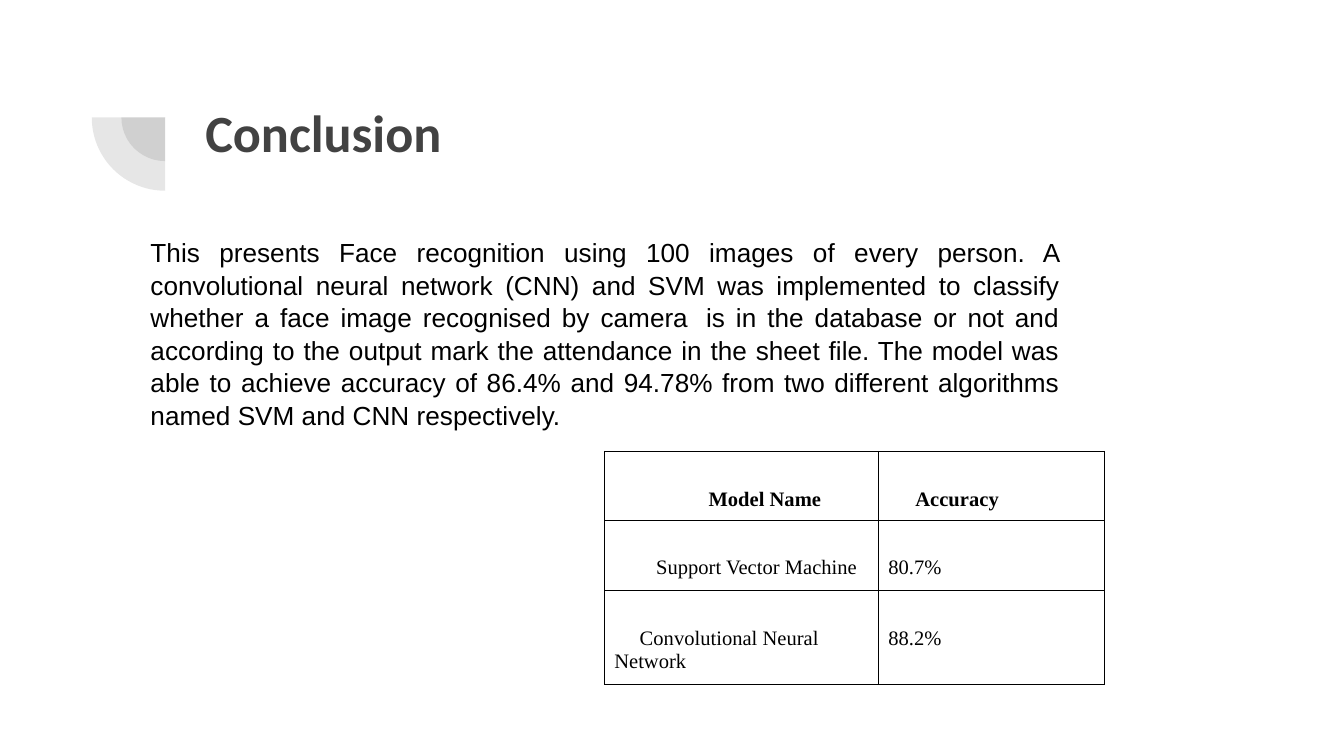
from dataclasses import dataclass

from lxml.etree import SubElement
from pptx import Presentation
from pptx.dml.color import RGBColor
from pptx.enum.shapes import MSO_SHAPE
from pptx.enum.text import MSO_ANCHOR, MSO_AUTO_SIZE, PP_ALIGN
from pptx.oxml.ns import qn
from pptx.slide import Slide
from pptx.table import _Cell as Cell
from pptx.util import Cm, Pt

GREY = RGBColor(0x42, 0x42, 0x42)
BLACK = RGBColor(0, 0, 0)

SUMMARY = (
    "This presents Face recognition using 100 images of every person. "
    "A convolutional neural network (CNN) and SVM was implemented to classify "
    "whether a face image recognised by camera\u00a0 is in the database or not and "
    "according to the output mark the attendance in the sheet file. The model was "
    "able to achieve accuracy of 86.4% and 94.78% from two different algorithms "
    "named SVM and CNN respectively."
)


@dataclass
class Entry:
    text: str
    indent: float = 0  # first line, cm
    bold: bool = False


@dataclass
class ResultRow:
    height: float
    model: Entry
    accuracy: Entry


RESULTS = [
    ResultRow(1.3, Entry("Model Name", 1.78, True), Entry("Accuracy", 0.51, True)),
    ResultRow(1.33, Entry("Support Vector Machine", 0.79), Entry("80.7%")),
    ResultRow(1.78, Entry("Convolutional Neural Network", 0.48), Entry("88.2%")),
]
COLUMN_WIDTHS = (5.18, 4.27)
PIE_CENTRE = (3.12, 2.22)
PIE_DIAMETERS = (1.65, 2.77)


def add_quarter_pie(slide: Slide, diameter: float) -> None:
    left, top = (centre - diameter / 2 for centre in PIE_CENTRE)
    pie = slide.shapes.add_shape(
        MSO_SHAPE.PIE, Cm(left), Cm(top), Cm(diameter), Cm(diameter))
    pie.rotation = 270
    pie.adjustments[0], pie.adjustments[1] = 108, 162
    pie.shadow.inherit = False
    pie.line.fill.background()
    pie.fill.solid()
    pie.fill.fore_color.rgb = GREY
    colour = pie.fill._xPr.find(".//" + qn("a:srgbClr"))
    SubElement(colour, qn("a:alpha"), val="13000")


def add_borders(cell: Cell) -> None:
    properties = cell._tc.get_or_add_tcPr()
    for side in ("a:lnL", "a:lnR", "a:lnT", "a:lnB"):
        line = SubElement(properties, qn(side), w=str(Pt(0.5)))
        fill = SubElement(line, qn("a:solidFill"))
        SubElement(fill, qn("a:srgbClr"), val=str(BLACK))


def fill_cell(cell: Cell, entry: Entry) -> None:
    add_borders(cell)
    cell.fill.background()
    cell.margin_left = cell.margin_right = Cm(0.18)
    cell.margin_top, cell.margin_bottom = Cm(0.69), Cm(0.13)
    cell.vertical_anchor = MSO_ANCHOR.TOP
    paragraph = cell.text_frame.paragraphs[0]
    paragraph.text = entry.text
    paragraph._p.get_or_add_pPr().set("indent", str(Cm(entry.indent)))
    font = paragraph.runs[0].font
    font.name, font.size, font.bold = "Times New Roman", Pt(11), entry.bold
    font.color.rgb = BLACK


def add_results(slide: Slide) -> None:
    table = slide.shapes.add_table(
        len(RESULTS), len(COLUMN_WIDTHS), Cm(11.43), Cm(8.53),
        Cm(sum(COLUMN_WIDTHS)), Cm(sum(row.height for row in RESULTS))).table
    table.first_row = table.horz_banding = False
    for column, width in zip(table.columns, COLUMN_WIDTHS):
        column.width = Cm(width)
    for table_row, result in zip(table.rows, RESULTS):
        table_row.height = Cm(result.height)
        for cell, entry in zip(table_row.cells, (result.model, result.accuracy)):
            fill_cell(cell, entry)


def write_title(slide: Slide) -> None:
    title = slide.shapes.title
    title.left, title.top, title.width, title.height = (
        Cm(3.63), Cm(1.65), Cm(19.53), Cm(2.77))
    frame = title.text_frame
    frame.text = "Conclusion"
    frame.auto_size = MSO_AUTO_SIZE.NONE
    frame.vertical_anchor = MSO_ANCHOR.TOP
    frame.margin_left = frame.margin_right = Cm(0.25)
    frame.margin_top = frame.margin_bottom = Cm(0.25)
    heading = frame.paragraphs[0]
    heading.alignment = PP_ALIGN.LEFT
    font = heading.runs[0].font
    font.name, font.size, font.bold = "Calibri", Pt(28), True
    font.color.rgb = GREY


def write_summary(slide: Slide) -> None:
    body = slide.placeholders[1]
    body.left, body.top, body.width, body.height = (
        Cm(2.59), Cm(4.32), Cm(17.7), Cm(3.84))
    frame = body.text_frame
    frame.text = SUMMARY
    frame.auto_size = MSO_AUTO_SIZE.SHAPE_TO_FIT_TEXT
    summary = frame.paragraphs[0]
    summary.alignment = PP_ALIGN.JUSTIFY
    summary.line_spacing = 1.04
    summary.space_before = Pt(0)
    properties = summary._p.get_or_add_pPr()
    properties.set("marL", "0")
    properties.set("indent", "0")
    SubElement(properties, qn("a:buNone"))
    font = summary.runs[0].font
    font.name, font.size = "Arial", Pt(14)
    font.color.rgb = BLACK


def main() -> None:
    deck = Presentation()
    deck.slide_width, deck.slide_height = Cm(25.4), Cm(14.29)
    slide = deck.slides.add_slide(deck.slide_layouts[1])

    # Corner ornament
    for diameter in PIE_DIAMETERS:
        add_quarter_pie(slide, diameter)

    # Text and results
    write_title(slide)
    write_summary(slide)
    add_results(slide)

    deck.save("out.pptx")


if __name__ == "__main__":
    main()
